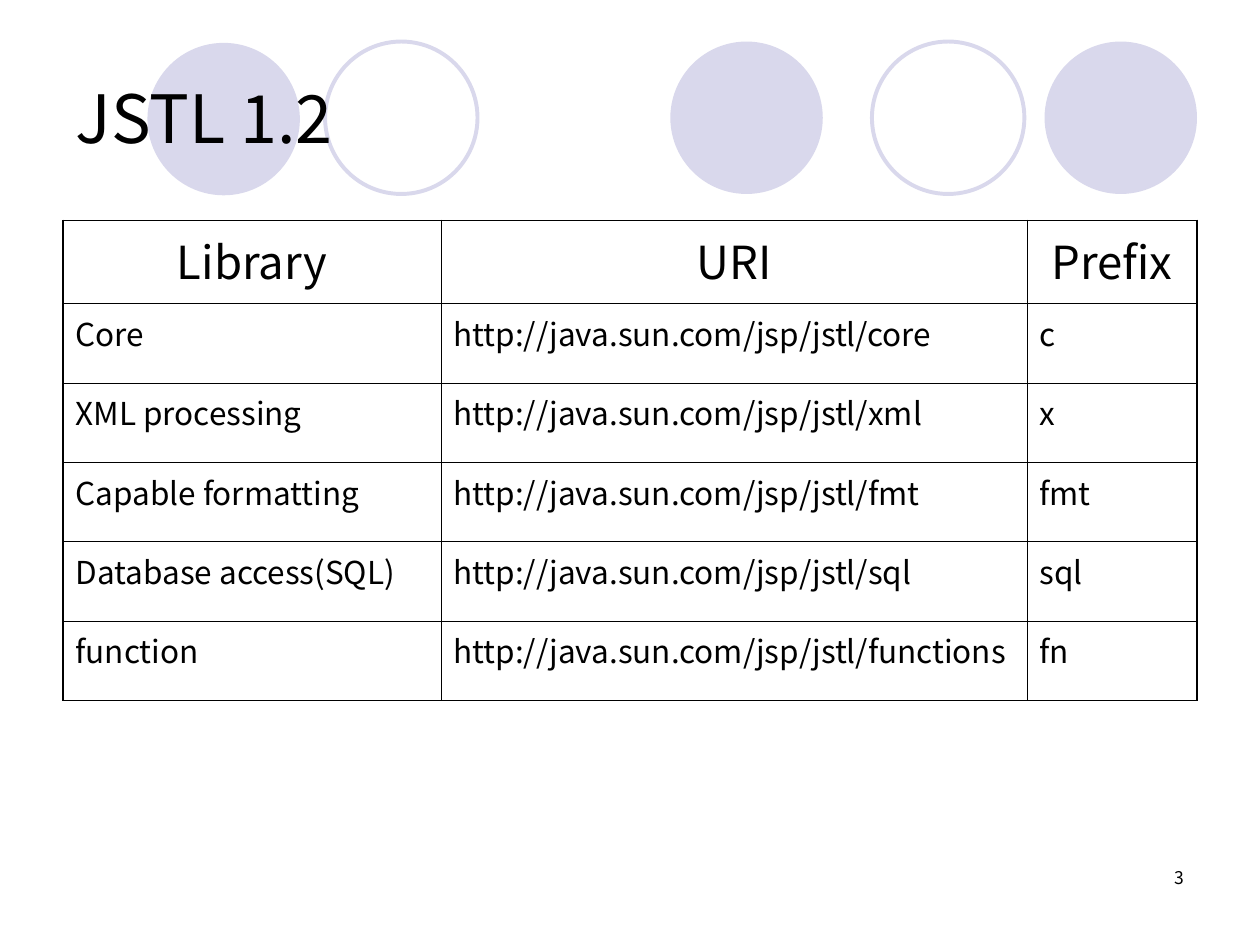
from lxml.etree import SubElement
from pptx import Presentation
from pptx.dml.color import RGBColor
from pptx.enum.shapes import MSO_SHAPE
from pptx.enum.text import MSO_ANCHOR, PP_ALIGN
from pptx.oxml.ns import qn
from pptx.util import Inches, Pt

FONT = "Noto Sans CJK KR"
BLACK, LILAC = "000000", "D9D8EC"
TITLE, PAGE_NUMBER = "JSTL 1.2", "3"

# left, top, filled
CIRCLES = [
    (5.32, 0.33, True),
    (8.29, 0.33, True),
    (1.17, 0.34, True),
    (6.92, 0.33, False),
    (2.58, 0.33, False),
]
CIRCLE_SIZE = 1.21

LIBRARIES = [
    ("Library", "URI", "Prefix"),
    ("Core", "http://java.sun.com/jsp/jstl/core", "c"),
    ("XML processing", "http://java.sun.com/jsp/jstl/xml", "x"),
    ("Capable formatting", "http://java.sun.com/jsp/jstl/fmt", "fmt"),
    ("Database access(SQL)", "http://java.sun.com/jsp/jstl/sql", "sql"),
    ("function", "http://java.sun.com/jsp/jstl/functions", "fn"),
]
COLUMN_WIDTHS = [3, 4.65, 1.35]
HEADER_HEIGHT, ROW_HEIGHT = 0.66, 0.63
THICK, THIN = 1.08, 0.45


def color(value):
    return RGBColor.from_string(value)


def write(frame, text, size, align=PP_ALIGN.LEFT):
    frame.text = text
    para = frame.paragraphs[0]
    para.alignment = align
    para.space_before = Pt(0)
    font = para.runs[0].font
    font.name, font.size = FONT, Pt(size)
    font.color.rgb = color(BLACK)


def add_circle(slide, left, top, filled):
    circle = slide.shapes.add_shape(
        MSO_SHAPE.OVAL, Inches(left), Inches(top), Inches(CIRCLE_SIZE), Inches(CIRCLE_SIZE))
    circle.shadow.inherit = False
    if filled:
        circle.fill.solid()
        circle.fill.fore_color.rgb = color(LILAC)
        circle.line.fill.background()
    else:
        circle.fill.background()
        circle.line.color.rgb = color(LILAC)
        circle.line.width = Pt(2.25)


def set_borders(cell, widths):
    """Draw the left, right, top and bottom borders, with widths in points."""
    properties = cell._tc.get_or_add_tcPr()
    for side, width in zip("LRTB", widths):
        line = SubElement(properties, qn(f"a:ln{side}"), w=str(int(Pt(width))))
        fill = SubElement(line, qn("a:solidFill"))
        SubElement(fill, qn("a:srgbClr"), val=BLACK)


def add_library_table(slide):
    heights = [HEADER_HEIGHT] + [ROW_HEIGHT] * (len(LIBRARIES) - 1)
    table = slide.shapes.add_table(
        len(heights), len(COLUMN_WIDTHS), Inches(0.5), Inches(1.75),
        Inches(sum(COLUMN_WIDTHS)), Inches(sum(heights))).table
    table.horz_banding = False
    for column, width in zip(table.columns, COLUMN_WIDTHS):
        column.width = Inches(width)
    for row, height in zip(table.rows, heights):
        row.height = Inches(height)

    last_row, last_column = len(heights) - 1, len(COLUMN_WIDTHS) - 1
    for r, texts in enumerate(LIBRARIES):
        for c, text in enumerate(texts):
            cell = table.cell(r, c)
            thick_sides = (c == 0, c == last_column, r in (0, 1), r in (0, last_row))
            set_borders(cell, [THICK if thick else THIN for thick in thick_sides])
            cell.fill.background()
            if r == 0:
                write(cell.text_frame, text, 26, PP_ALIGN.CENTER)
            else:
                write(cell.text_frame, text, 18)


def main():
    deck = Presentation()
    deck.slide_width, deck.slide_height = Inches(10), Inches(7.5)
    slide = deck.slides.add_slide(deck.slide_layouts[5])

    for circle in CIRCLES:
        add_circle(slide, *circle)

    number_box = slide.shapes.add_textbox(Inches(7.17), Inches(6.83), Inches(2.33), Inches(0.5))
    number_box.text_frame.word_wrap = True
    write(number_box.text_frame, PAGE_NUMBER, 10, PP_ALIGN.RIGHT)

    title = slide.shapes.title
    title.left, title.top = Inches(0.5), Inches(0.3)
    title.width, title.height = Inches(9), Inches(1.25)
    title.text_frame.vertical_anchor = MSO_ANCHOR.MIDDLE
    write(title.text_frame, TITLE, 38)
    title.element.getparent().append(title.element)  # bring in front of the circles

    add_library_table(slide)
    deck.save("out.pptx")


if __name__ == "__main__":
    main()
